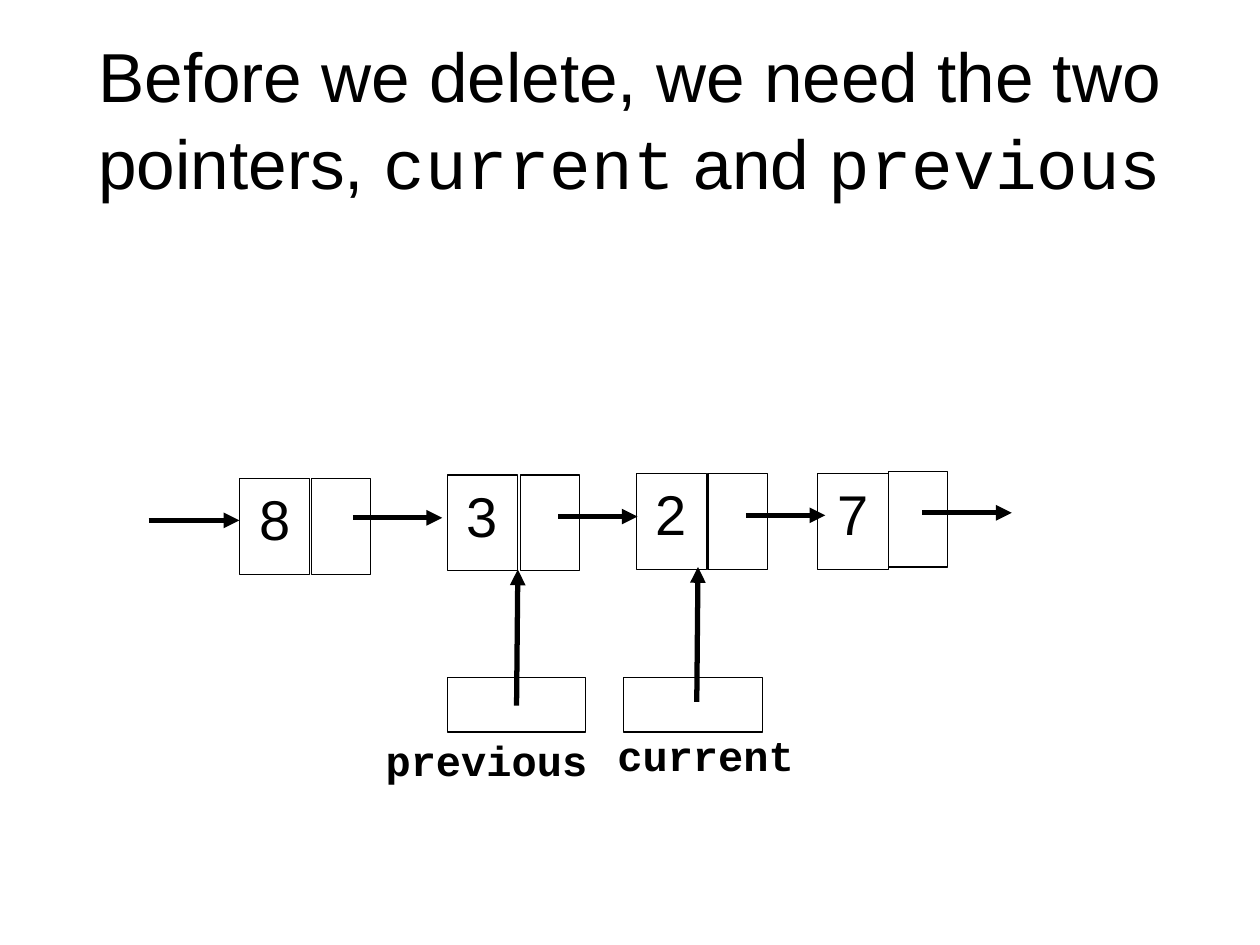
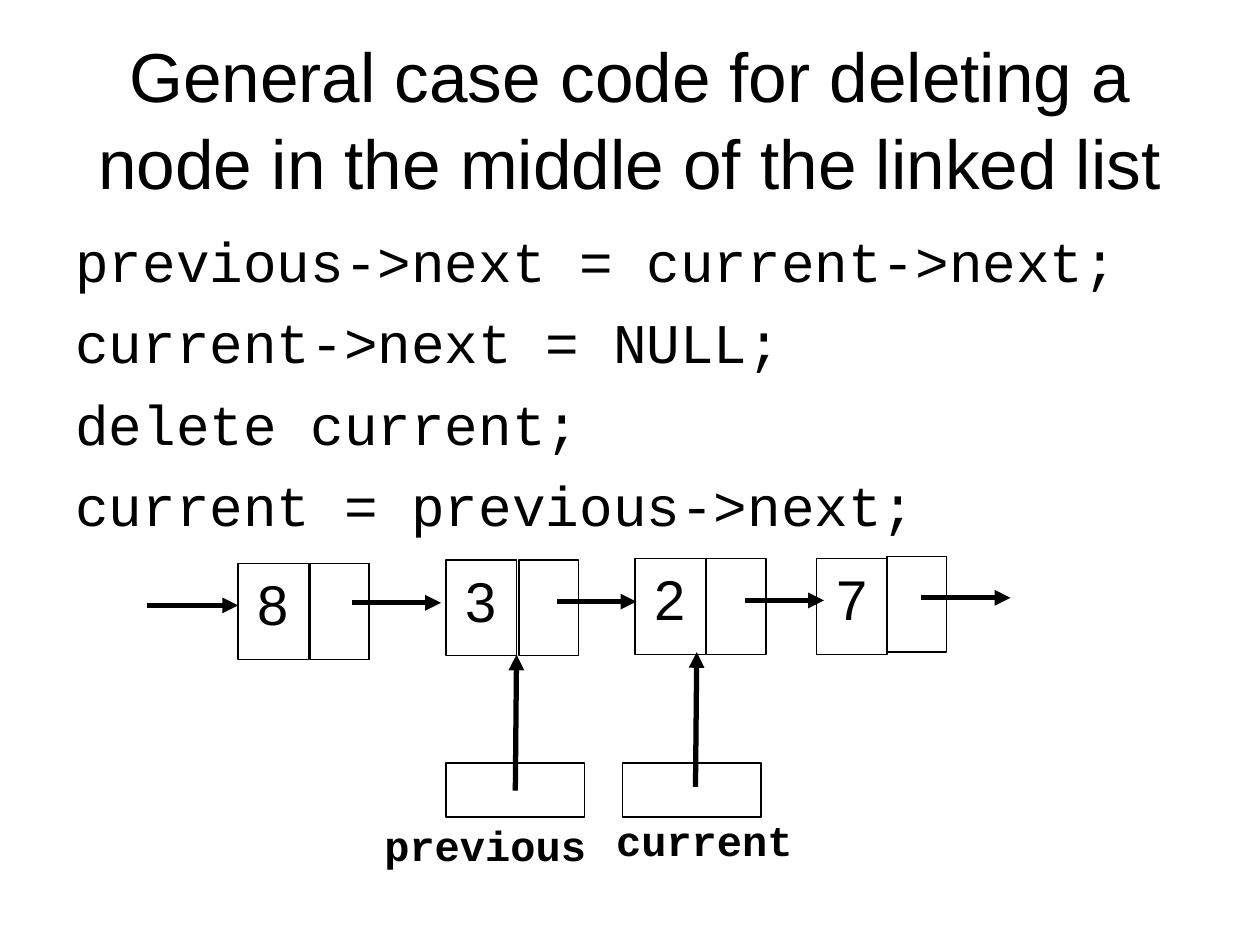
"""Build two slides on deleting a node from the middle of a linked list."""
from dataclasses import dataclass

from lxml.etree import SubElement
from pptx import Presentation
from pptx.dml.color import RGBColor
from pptx.enum.shapes import MSO_CONNECTOR, MSO_SHAPE
from pptx.enum.text import MSO_ANCHOR, MSO_AUTO_SIZE, PP_ALIGN
from pptx.oxml.ns import qn
from pptx.util import Inches, Pt


@dataclass(frozen=True)
class Theme:
    ink: RGBColor = RGBColor(0, 0, 0)
    paper: RGBColor = RGBColor(255, 255, 255)
    prose: str = "Arial"
    mono: str = "Courier New"
    title_size: float = 39.6
    body_size: float = 32
    label_size: float = 24
    thin: float = 0.75
    thick: float = 3


theme = Theme()


def add_cell(slide, left, top, width, height, value=""):
    cell = slide.shapes.add_shape(
        MSO_SHAPE.RECTANGLE, Inches(left), Inches(top), Inches(width), Inches(height))
    cell.shadow.inherit = False
    cell.fill.solid()
    cell.fill.fore_color.rgb = theme.paper
    cell.line.color.rgb = theme.ink
    cell.line.width = Pt(theme.thin)
    if value:
        cell.text_frame.text = value
        cell.text_frame.vertical_anchor = MSO_ANCHOR.TOP
        paragraph = cell.text_frame.paragraphs[0]
        paragraph.alignment = PP_ALIGN.CENTER
        font = paragraph.runs[0].font
        font.name, font.size = theme.prose, Pt(theme.body_size)
        font.color.rgb = theme.ink


def add_arrow(slide, start_x, start_y, end_x, end_y):
    arrow = slide.shapes.add_connector(
        MSO_CONNECTOR.STRAIGHT,
        Inches(start_x), Inches(start_y), Inches(end_x), Inches(end_y))
    arrow.line.color.rgb = theme.ink
    arrow.line.width = Pt(theme.thick)
    SubElement(arrow.line._get_or_add_ln(), qn("a:tailEnd"), type="triangle")
    SubElement(arrow._element.spPr, qn("a:effectLst"))


lessons = [
    {
        "title": [
            ("Before we delete, we need the two pointers, ", theme.prose),
            ("current", theme.mono),
            (" and ", theme.prose),
            ("previous", theme.mono),
        ],
        "code": [],
        "origin": (1.18, 3.74),
    },
    {
        "title": [
            ("General case code for deleting a node in the middle of the linked list",
             theme.prose),
        ],
        "code": [
            "previous->next = current->next;",
            "current->next = NULL;",
            "delete current;",
            "current = previous->next;",
        ],
        "origin": (1.17, 4.415),
    },
]

# value, data left, data top, link left, link top
nodes = [
    ("8", 0.72, 0.06, 1.29, 0.06),
    ("3", 2.37, 0.03, 2.95, 0.03),
    ("2", 3.87, 0.02, 4.44, 0.02),
    ("7", 5.31, 0.02, 5.87, 0),
]
link_arrows = [
    (0, 0.39, 0.72), (1.62, 0.37, 2.33), (3.25, 0.36, 3.88),
    (4.74, 0.35, 5.37), (6.14, 0.33, 6.85),
]
# name, box left, arrow left, arrow bottom, arrow top, label left, label top, label width
pointers = [
    ("previous", 2.37, 2.92, 1.86, 0.78, 1.88, 2.09, 1.71),
    ("current", 3.77, 4.35, 1.83, 0.76, 3.72, 2.05, 1.44),
]

deck = Presentation()
deck.slide_width, deck.slide_height = Inches(10), Inches(7.5)

for lesson in lessons:
    slide = deck.slides.add_slide(deck.slide_layouts[5])
    x, y = lesson["origin"]

    title = slide.shapes.title
    title.left, title.top = Inches(0.5), Inches(0.3)
    title.width, title.height = Inches(9), Inches(1.25)
    title.text_frame.auto_size = MSO_AUTO_SIZE.NONE
    title.text_frame.vertical_anchor = MSO_ANCHOR.MIDDLE
    heading = title.text_frame.paragraphs[0]
    heading.alignment = PP_ALIGN.CENTER
    heading.line_spacing = 1.04
    for words, typeface in lesson["title"]:
        run = heading.add_run()
        run.text = words
        run.font.name, run.font.size = typeface, Pt(theme.title_size)
        run.font.color.rgb = theme.ink

    if lesson["code"]:
        code = slide.shapes.add_textbox(Inches(0.5), Inches(1.75), Inches(9), Inches(5.42))
        code.text_frame.word_wrap = True
        code.text_frame.text = "\n".join(lesson["code"])
        for statement in code.text_frame.paragraphs:
            statement.space_before = Pt(8)
            font = statement.runs[0].font
            font.name, font.size = theme.mono, Pt(theme.body_size)
            font.color.rgb = theme.ink

    for value, data_left, data_top, link_left, link_top in nodes:
        add_cell(slide, x + link_left, y + link_top, 0.47, 0.76)
        add_cell(slide, x + data_left, y + data_top, 0.56, 0.76, value)

    for start, level, end in link_arrows:
        add_arrow(slide, x + start, y + level, x + end, y + level)

    for name, box_left, stem, bottom, tip, label_left, label_top, label_width in pointers:
        add_cell(slide, x + box_left, y + 1.64, 1.1, 0.43)
        add_arrow(slide, x + stem, y + bottom, x + stem + 0.01, y + tip)
        label = slide.shapes.add_textbox(
            Inches(x + label_left), Inches(y + label_top), Inches(label_width), Inches(0.4))
        frame = label.text_frame
        frame.word_wrap = True
        frame.margin_left = frame.margin_right = frame.margin_top = frame.margin_bottom = 0
        frame.text = name
        font = frame.paragraphs[0].runs[0].font
        font.name, font.size, font.bold = theme.mono, Pt(theme.label_size), True
        font.color.rgb = theme.ink

deck.save("out.pptx")
